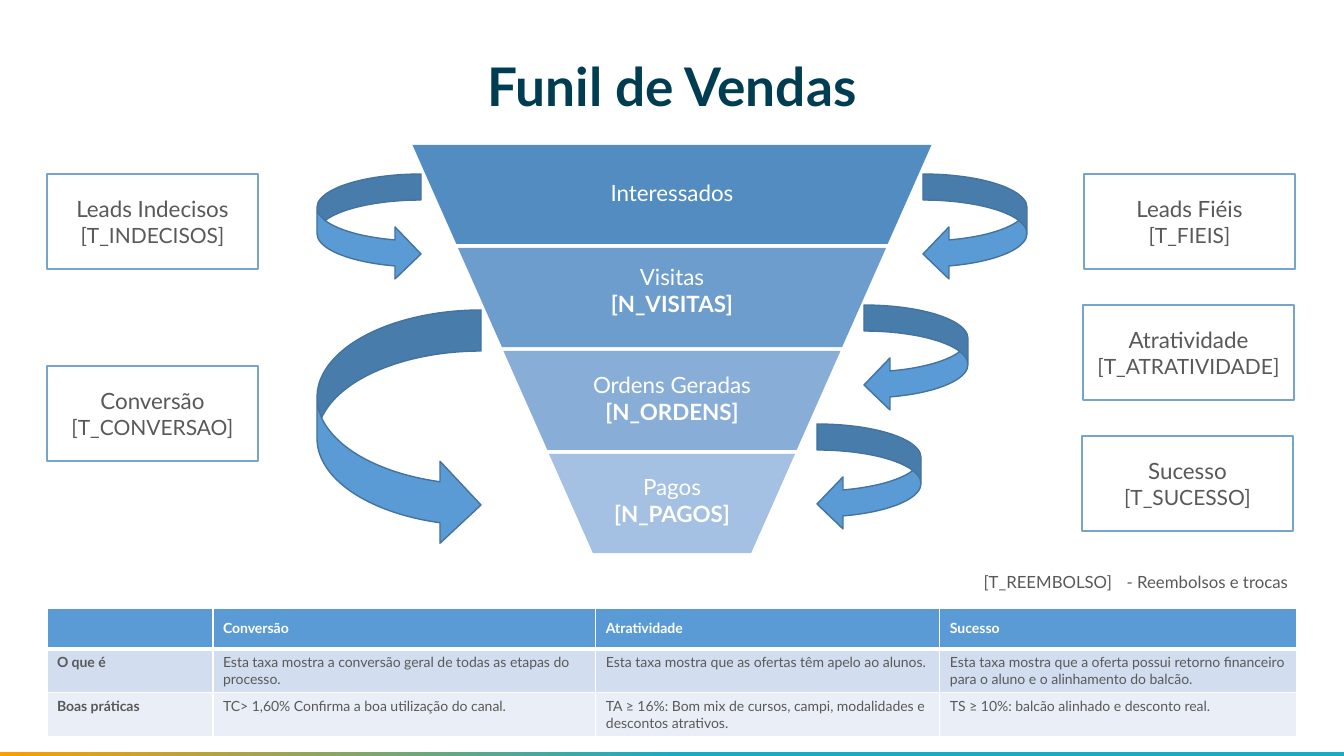
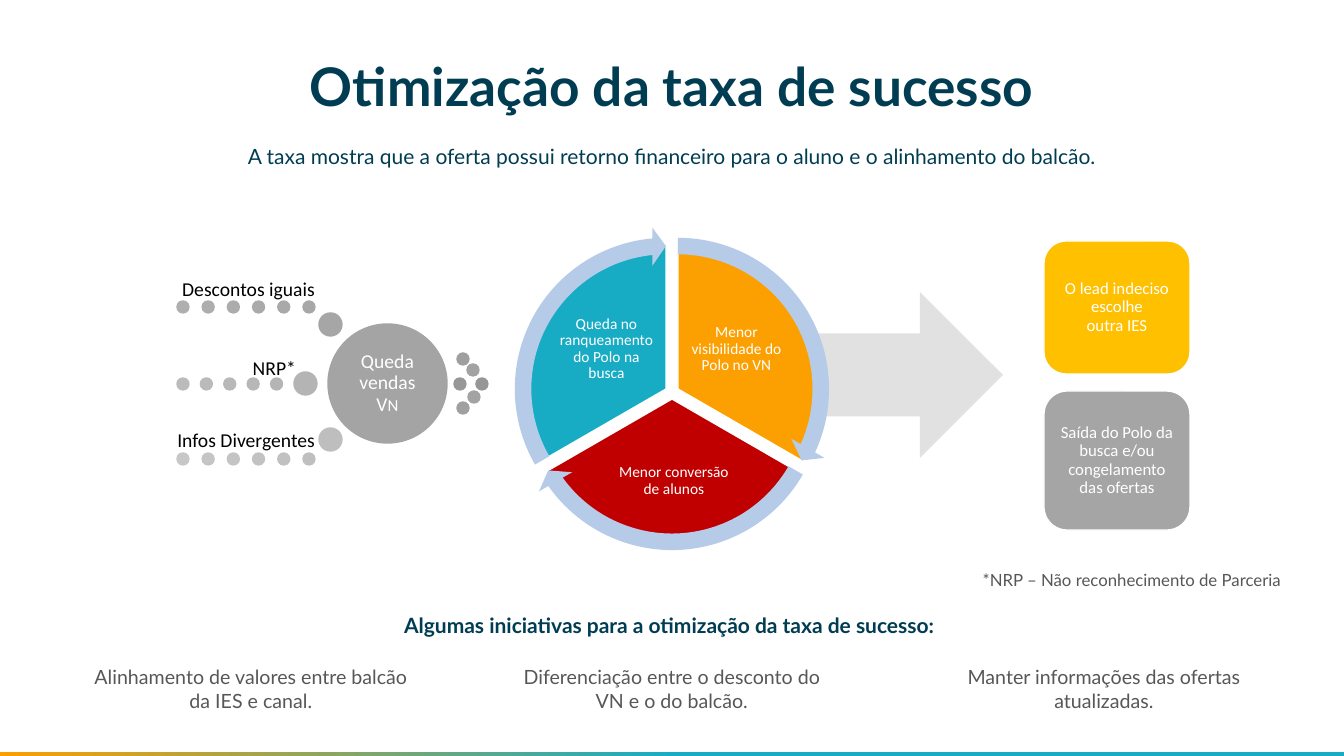
import lxml.etree
import pptx
import pptx.dml.color
import pptx.enum.shapes
import pptx.enum.text
import pptx.oxml.ns
import pptx.util

PX = 914400 / 100.8
SHAPE = pptx.enum.shapes.MSO_SHAPE
ALIGN = pptx.enum.text.PP_ALIGN
ANCHOR = pptx.enum.text.MSO_ANCHOR

# Shared colours and fonts
NAVY, TEAL, ORANGE = "003D52", "18ACC4", "FC9F00"
WHITE, BLACK, TEXT_GRAY, NOTE_GRAY = "FFFFFF", "000000", "595959", "575757"
BLUE, BLUE_EDGE, CARD_EDGE, RING_BLUE = "5B9BD5", "43739E", "76A5C8", "B5CBE7"
MAIN_FONT, DIAGRAM_FONT = "Lato", "Calibri"


def px(length):
    return pptx.util.Emu(round(length * PX))


def rgb(code):
    return pptx.dml.color.RGBColor.from_string(code)


def gray(level):
    return f"{level:02X}" * 3


def write(frame, text, *, size=16, color=TEXT_GRAY, bold=False, font=MAIN_FONT,
          align=ALIGN.CENTER, anchor=None, inset=None, spacing=None):
    """Text is a string or a list of (string, overrides); a newline starts a paragraph."""
    frame.word_wrap = True
    if anchor is not None:
        frame.vertical_anchor = anchor
    if inset is not None:
        frame.margin_left = frame.margin_right = px(inset)
        frame.margin_top = frame.margin_bottom = px(inset)
    para = frame.paragraphs[0]
    spans = [(text, {})] if isinstance(text, str) else text
    for content, overrides in spans:
        look = {"size": size, "bold": bold} | overrides
        for index, line in enumerate(content.split("\n")):
            if index:
                para = frame.add_paragraph()
            para.alignment = align
            if spacing:
                para.line_spacing = spacing
            if line:
                span = para.add_run()
                span.text = line
                span.font.name = font
                span.font.size = pptx.util.Pt(look["size"])
                span.font.bold = look["bold"]
                span.font.color.rgb = rgb(color)


def add_label(page, left, top, width, height, text, **text_format):
    box = page.shapes.add_textbox(px(left), px(top), px(width), px(height))
    write(box.text_frame, text, **text_format)


def add_figure(page, kind, left, top, width, height, fill, line=None, adjust=()):
    shape = page.shapes.add_shape(kind, px(left), px(top), px(width), px(height))
    shape.shadow.inherit = False
    shape.fill.solid()
    shape.fill.fore_color.rgb = rgb(fill)
    if line:
        shape.line.color.rgb = rgb(line)
        shape.line.width = pptx.util.Pt(1)
    else:
        shape.line.fill.background()
    for index, value in enumerate(adjust):
        shape.adjustments[index] = value
    return shape


def add_page(deck, title):
    page = deck.slides.add_slide(deck.slide_layouts[6])
    add_label(page, 43, 46, 1258, 88, title, size=38, color=NAVY, bold=True, inset=7)
    band = add_figure(page, SHAPE.RECTANGLE, 0, 752, 1344, 4, TEAL)
    band.fill.gradient()
    band.fill.gradient_angle = 0
    for stop, color, position in zip(band.fill.gradient_stops, (ORANGE, TEAL), (0, 0.5)):
        stop.color.rgb = rgb(color)
        stop.position = position
    return page


# Sales funnel
def add_funnel(page):
    stages = [
        ("Interessados", "", 174, "528CC1"),
        ("Visitas", "[N_VISITAS]", 258, "6D9DCD"),
        ("Ordens Geradas", "[N_ORDENS]", 366, "88AED8"),
        ("Pagos", "[N_PAGOS]", 468, "A4C0E3"),
    ]
    for index, (name, count, text_top, color) in enumerate(stages):
        width = 519 - 91 * index
        stage = add_figure(page, SHAPE.TRAPEZOID, 672 - width / 2, 145 + 103 * index,
                           width, 99, color, adjust=[0.443])
        stage.rotation = 180
        spans = [(name, {})]
        if count:
            spans.append(("\n" + count, {"bold": True}))
        add_label(page, 502, text_top, 340, 64, spans, color=WHITE)


def add_rate_card(page, left, top, name, rate):
    card = add_figure(page, SHAPE.RECTANGLE, left, top, 211, 95, WHITE, CARD_EDGE)
    write(card.text_frame, [(name, {}), ("\n" + rate, {"size": 15})], anchor=ANCHOR.MIDDLE)


def set_borders(cell, bottom_width):
    properties = cell._tc.get_or_add_tcPr()
    for side, width in (("L", 1), ("R", 1), ("T", 1), ("B", bottom_width)):
        line = lxml.etree.SubElement(properties, pptx.oxml.ns.qn(f"a:ln{side}"),
                                     w=str(pptx.util.Pt(width)))
        fill = lxml.etree.SubElement(line, pptx.oxml.ns.qn("a:solidFill"))
        lxml.etree.SubElement(fill, pptx.oxml.ns.qn("a:srgbClr"), val=WHITE)


def add_rate_table(page):
    rows = [
        ("", "Conversão", "Atratividade", "Sucesso"),
        ("O que é",
         "Esta taxa mostra a conversão geral de todas as etapas do processo.",
         "Esta taxa mostra que as ofertas têm apelo ao alunos.",
         "Esta taxa mostra que a oferta possui retorno financeiro para o aluno "
         "e o alinhamento do balcão."),
        ("Boas práticas",
         "TC> 1,60% Confirma a boa utilização do canal.",
         "TA ≥ 16%: Bom mix de cursos, campi, modalidades e descontos atrativos.",
         "TS ≥ 10%: balcão alinhado e desconto real."),
    ]
    widths, heights = (166, 383, 344, 357), (41, 43, 43)
    table = page.shapes.add_table(len(rows), len(widths), px(47), px(608),
                                  px(sum(widths)), px(sum(heights))).table
    for column, width in zip(table.columns, widths):
        column.width = px(width)
    for r, (texts, height, fill) in enumerate(zip(rows, heights, (BLUE, "D2DEEF", "EAEFF7"))):
        table.rows[r].height = px(height)
        header = r == 0
        for c, text in enumerate(texts):
            cell = table.cell(r, c)
            set_borders(cell, 3 if header else 1)
            cell.fill.solid()
            cell.fill.fore_color.rgb = rgb(fill)
            cell.vertical_anchor = ANCHOR.MIDDLE if header else ANCHOR.TOP
            write(cell.text_frame, text, size=10, color=WHITE if header else TEXT_GRAY,
                  bold=header or c == 0, align=ALIGN.LEFT)


def build_funnel_page(deck):
    page = add_page(deck, "Funil de Vendas")
    # Arrows around the funnel
    for kind, left, top, width, height in [
        (SHAPE.CURVED_LEFT_ARROW, 923, 174, 104, 106),
        (SHAPE.CURVED_LEFT_ARROW, 864, 305, 104, 106),
        (SHAPE.CURVED_LEFT_ARROW, 817, 424, 104, 106),
        (SHAPE.CURVED_RIGHT_ARROW, 317, 174, 104, 106),
        (SHAPE.CURVED_RIGHT_ARROW, 317, 310, 164, 236),
    ]:
        add_figure(page, kind, left, top, width, height, BLUE, BLUE_EDGE)
    add_funnel(page)
    # Rates beside the funnel
    for left, top, name, rate in [
        (47, 174, "Leads Indecisos", "[T_INDECISOS]"),
        (47, 366, "Conversão", "[T_CONVERSAO]"),
        (1084, 174, "Leads Fiéis", "[T_FIEIS]"),
        (1083, 305, "Atratividade", "[T_ATRATIVIDADE]"),
        (1082, 436, "Sucesso", "[T_SUCESSO]"),
    ]:
        add_rate_card(page, left, top, name, rate)
    for left, text in ((931, "[T_REEMBOLSO]"), (1107, "- Reembolsos e trocas")):
        add_label(page, left, 567, 191, 30, text, size=12, align=ALIGN.RIGHT)
    add_rate_table(page)


# Causes that lead to the drop in sales
def add_dot(page, left, top, size, level):
    add_figure(page, SHAPE.OVAL, left, top, size, size, gray(level), gray(level))


def add_causes(page):
    small, medium = 12, 23
    for left, top, level in [(476, 378, 150), (454, 378, 151), (457, 353, 159),
                             (457, 402, 160), (467, 364, 162), (468, 391, 163)]:
        add_dot(page, left, top, small, level)
    hub = add_figure(page, SHAPE.OVAL, 328, 324, 119, 119, gray(164), gray(164))
    write(hub.text_frame, [("Queda vendas V", {}), ("N", {"size": 12})], size=14, color=WHITE,
          font=DIAGRAM_FONT, anchor=ANCHOR.MIDDLE, inset=2, spacing=0.9)
    for text, right, label_top, dot_top, count, step, level, joint_left, joint_top in [
        ("Descontos iguais", 315, 271, 301, 6, 25.2, 167, 319, 313),
        ("NRP*", 296, 350, 378, 5, 23.4, 181, 294, 372),
        ("Infos Divergentes", 315, 422, 453, 6, 25.2, 191, 319, 428),
    ]:
        add_dot(page, joint_left, joint_top, medium, level - 1)
        for index in range(count):
            shade = level + (3 * (count - 1 - index) + 1) // 2
            add_dot(page, 177 + step * index, dot_top, small, shade)
        add_label(page, right - 150, label_top, 150, 30, text, size=14, color=BLACK,
                  font=DIAGRAM_FONT, align=ALIGN.RIGHT, anchor=ANCHOR.BOTTOM,
                  inset=0, spacing=0.9)


# Cycle of three sectors; angles are in units of 5/3 degree
def add_cycle(page):
    pie, ring, head = 288, 324, 3.275
    sectors = [
        (678, 389, 162, 18, "FCA001", "Menor visibilidade do Polo no VN", (685, 306, 103, 86)),
        (672, 399, 18, 90, "C00000", "Menor conversão\nde alunos", (597, 443, 154, 76)),
        (666, 389, 90, 162, "17ACC4", "Queda no ranqueamento do Polo na busca",
         (555, 306, 103, 86)),
    ]
    for x, y, start, end, color, text, text_area in sectors:
        add_figure(page, SHAPE.PIE, x - pie / 2, y - pie / 2, pie, pie, color, WHITE,
                   [start, end])
        add_label(page, *text_area, text, size=11, color=WHITE, font=DIAGRAM_FONT,
                  anchor=ANCHOR.MIDDLE, inset=2, spacing=0.9)
    for x, y, start, end, *_ in sectors:
        add_figure(page, SHAPE.CIRCULAR_ARROW, x - ring / 2, y - ring / 2, ring, ring,
                   RING_BLUE, adjust=[0.051, head, end - head, start, 0.059])


def build_success_page(deck):
    page = add_page(deck, "Otimização da taxa de sucesso")
    add_figure(page, SHAPE.RIGHT_ARROW, 722, 292, 281, 166, "E1E1E1")
    add_label(page, 39, 133, 1266, 50,
              "A taxa mostra que a oferta possui retorno financeiro para o aluno "
              "e o alinhamento do balcão.", size=15, color=NAVY, inset=7, spacing=1.15)
    add_causes(page)
    add_cycle(page)
    # Consequences
    for top, height, color, text in [
        (241, 133, "FFC000", "O lead indeciso escolhe\noutra IES"),
        (391, 139, "A5A5A5", "Saída do Polo da busca e/ou congelamento das ofertas"),
    ]:
        card = add_figure(page, SHAPE.ROUNDED_RECTANGLE, 1044, top, 146, height, color, WHITE)
        write(card.text_frame, text, size=12, color=WHITE, font=DIAGRAM_FONT,
              anchor=ANCHOR.MIDDLE, inset=8, spacing=0.9)
    add_label(page, 925, 565, 366, 30, "*NRP – Não reconhecimento de Parceria", size=12,
              color=NOTE_GRAY, align=ALIGN.RIGHT)
    # Initiatives
    add_label(page, 35, 602, 1269, 53,
              "Algumas iniciativas para a otimização da taxa de sucesso:",
              size=15, color=NAVY, bold=True, inset=7, spacing=1.15)
    for left, width, text in [
        (79, 344, "Alinhamento de valores entre balcão da IES e canal."),
        (500, 344, "Diferenciação entre o desconto do VN e o do balcão."),
        (921, 366, "Manter informações das ofertas atualizadas."),
    ]:
        add_label(page, left, 660, width, 57, text, size=14, color=NOTE_GRAY)


def main():
    deck = pptx.Presentation()
    deck.slide_width, deck.slide_height = px(1344), px(756)
    build_funnel_page(deck)
    build_success_page(deck)
    deck.save("out.pptx")


if __name__ == "__main__":
    main()
